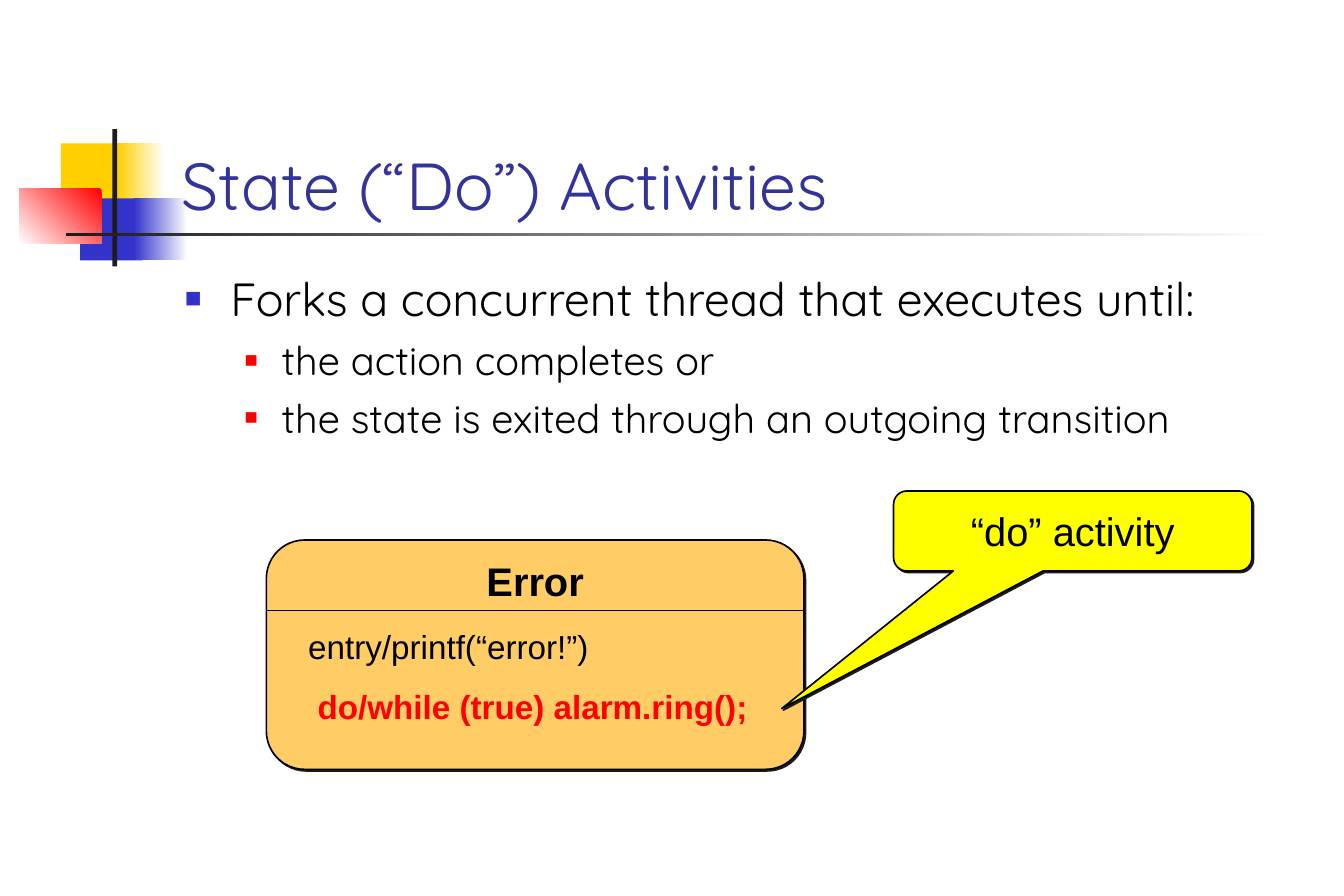
from lxml import etree
from pptx import Presentation
from pptx import util as u
from pptx.dml.color import RGBColor
from pptx.enum import shapes, text
from pptx.oxml import ns

THEME = {
    "display": "Quicksand", "label": "Arial",
    "title_size": 40, "lead_size": 28, "head_size": 24, "action_size": 20,
    "title": "333399", "ink": "000000", "dark": "1C1C1C", "white": "FFFFFF",
    "gold": "FFCF01", "blue": "3333CC", "red": "FF0000",
    "state": "FFCC66", "callout": "FFFF00",
}

# Content
TITLE = "State (“Do”) Activities"
# text, size, left indent, hanging indent, space before, bullet colour, bullet percent
BULLETS = [
    ("Forks a concurrent thread that executes until:", "lead_size", 0.38, 0.38, 7, "blue", 60),
    ("the action completes or", "head_size", 0.81, 0.31, 6, "red", 55),
    ("the state is exited through an outgoing transition", "head_size", 0.81, 0.31, 6, "red", 55),
]
STATE_NAME = "Error"
# text, left, top, width, colour, bold
ACTIONS = [
    ("entry/printf(“error!”)", 2.48, 5.19, 2.55, "ink", False),
    ("do/while (true) alarm.ring();", 2.56, 5.69, 3.8, "red", True),
]
CALLOUT = "“do” activity"
# left, top, width, height, colours from start to end, clockwise angle
ORNAMENT = [
    (0.51, 1.2, 0.54, 0.52, ["gold"], 0),
    (0.98, 1.2, 0.4, 0.52, ["white", "gold"], 180),
    (0.67, 1.66, 0.52, 0.52, ["blue"], 0),
    (1.12, 1.66, 0.45, 0.52, ["white", "blue"], 180),
    (0.16, 1.58, 0.69, 0.46, ["red", "white"], 135),
    (0.94, 1.08, 0.04, 1.15, ["dark"], 0),
    (0.55, 1.95, 10.12, 0.03, ["white", "dark"], 180),
]
STATE = (2.23, 4.52, 4.5, 1.92)
DIVIDER_Y = 5.11


def colour(name):
    return RGBColor.from_string(THEME[name])


def add_element(parent, tag, **attributes):
    return etree.SubElement(parent, ns.qn(tag), attributes)


def write(paragraph, words, size, ink="ink", face="label", bold=False):
    paragraph.text = words
    font = paragraph.font
    font.name, font.size, font.bold = THEME[face], u.Pt(THEME[size]), bold
    font.color.rgb = colour(ink)


def add_text(page, bounds, anchor, wrap=True):
    frame = page.shapes.add_textbox(*map(u.Inches, bounds)).text_frame
    frame.word_wrap, frame.vertical_anchor = wrap, anchor
    return frame


def add_panel(page, kind, bounds, fill, words, anchor, adjustments):
    panel = page.shapes.add_shape(kind, *map(u.Inches, bounds))
    for index, value in enumerate(adjustments):
        panel.adjustments[index] = value
    panel.fill.solid()
    panel.fill.fore_color.rgb = colour(fill)
    panel.line.color.rgb = colour("ink")
    panel.line.width = u.Pt(1)
    panel.shadow.inherit = False
    effects = panel._element.spPr.find(ns.qn("a:effectLst"))
    shadow = add_element(effects, "a:outerShdw", blurRad="0", dist=str(u.Pt(1.4)),
                         dir="2700000", algn="ctr", rotWithShape="0")
    add_element(shadow, "a:srgbClr", val=THEME["dark"])
    frame = panel.text_frame
    frame.word_wrap, frame.vertical_anchor = False, anchor
    paragraph = frame.paragraphs[0]
    paragraph.alignment = text.PP_ALIGN.CENTER
    write(paragraph, words, "head_size", bold=(words == STATE_NAME))


def add_ornament(page):
    for *bounds, colours, angle in ORNAMENT:
        block = page.shapes.add_shape(shapes.MSO_SHAPE.RECTANGLE, *map(u.Inches, bounds))
        block.shadow.inherit = False
        block.line.fill.background()
        if len(colours) == 1:
            block.fill.solid()
            block.fill.fore_color.rgb = colour(colours[0])
        else:
            block.fill.gradient()
            block.fill.gradient_angle = 360 - angle
            for stop, name in zip(block.fill.gradient_stops, colours):
                stop.color.rgb = colour(name)


def add_bullets(page):
    frame = add_text(page, (1.45, 2.21, 9.56, 4.5), text.MSO_ANCHOR.TOP)
    for index, (words, size, left, hang, before, mark, percent) in enumerate(BULLETS):
        paragraph = frame.add_paragraph() if index else frame.paragraphs[0]
        if index:
            paragraph.space_before = u.Pt(before)
        properties = paragraph._p.get_or_add_pPr()
        properties.set("marL", str(u.Inches(left)))
        properties.set("indent", str(-u.Inches(hang)))
        add_element(add_element(properties, "a:buClr"), "a:srgbClr", val=THEME[mark])
        add_element(properties, "a:buSzPct", val=str(percent * 1000))
        add_element(properties, "a:buFont", typeface=THEME["label"])
        add_element(properties, "a:buChar", char="■")
        write(paragraph, words, size, face="display")


def add_state(page):
    left, top, width, height = STATE
    add_panel(page, shapes.MSO_SHAPE.ROUNDED_RECTANGLE, STATE, "state",
              STATE_NAME, text.MSO_ANCHOR.TOP, [0.167])
    ends = map(u.Inches, (left, DIVIDER_Y, left + width, DIVIDER_Y))
    divider = page.shapes.add_connector(shapes.MSO_CONNECTOR.STRAIGHT, *ends)
    divider.line.color.rgb = colour("ink")
    divider.line.width = u.Pt(1)
    add_element(divider._element.spPr, "a:effectLst")
    for words, x, y, wide, ink, bold in ACTIONS:
        frame = add_text(page, (x, y, wide, 0.44), text.MSO_ANCHOR.MIDDLE, wrap=False)
        frame.paragraphs[0].alignment = text.PP_ALIGN.CENTER
        write(frame.paragraphs[0], words, "action_size", ink, bold=bold)


def main():
    deck = Presentation()
    deck.slide_width, deck.slide_height = u.Inches(11.25), u.Inches(7.5)
    page = deck.slides.add_slide(deck.slide_layouts[6])

    # Heading with its ornament
    add_ornament(page)
    heading = add_text(page, (1.42, 0.67, 9.59, 1.25), text.MSO_ANCHOR.BOTTOM)
    write(heading.paragraphs[0], TITLE, "title_size", "title", "display")

    # Explanation
    add_bullets(page)

    # State diagram and its callout
    add_state(page)
    add_panel(page, shapes.MSO_SHAPE.ROUNDED_RECTANGULAR_CALLOUT, (7.48, 4.11, 3, 0.67),
              "callout", CALLOUT, text.MSO_ANCHOR.MIDDLE, [-0.812, 2.219, 0.167])
    deck.save("out.pptx")


if __name__ == "__main__":
    main()
